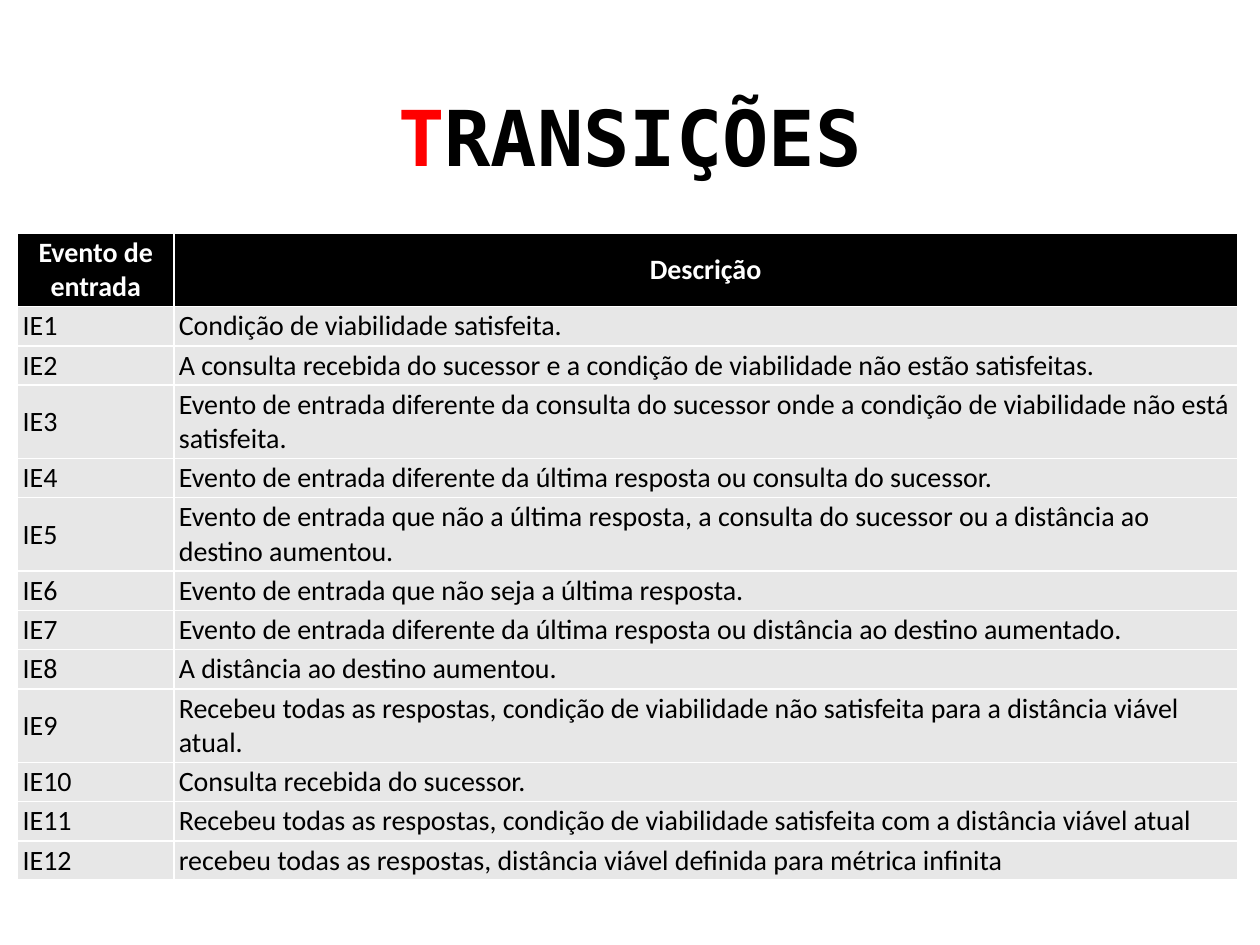
"""Build the slide that lists the transition input events in a table."""
from pptx import Presentation
from pptx.dml.color import RGBColor
from pptx.enum.text import MSO_ANCHOR, PP_ALIGN
from pptx.util import Inches, Pt

BLACK = RGBColor(0x00, 0x00, 0x00)
WHITE = RGBColor(0xFF, 0xFF, 0xFF)
RED = RGBColor(0xFF, 0x00, 0x00)
GREY = RGBColor(0xE7, 0xE7, 0xE7)

TITLE_RUNS = [("T", RED), ("RANSIÇÕES", BLACK)]
HEADER = ("Evento de entrada", "Descrição")
DESCRIPTIONS = [
    "Condição de viabilidade satisfeita.",
    "A consulta recebida do sucessor e a condição de viabilidade não estão satisfeitas.",
    "Evento de entrada diferente da consulta do sucessor onde a condição de viabilidade não está satisfeita.",
    "Evento de entrada diferente da última resposta ou consulta do sucessor.",
    "Evento de entrada que não a última resposta, a consulta do sucessor ou a distância ao destino aumentou.",
    "Evento de entrada que não seja a última resposta.",
    "Evento de entrada diferente da última resposta ou distância ao destino aumentado.",
    "A distância ao destino aumentou.",
    "Recebeu todas as respostas, condição de viabilidade não satisfeita para a distância viável atual.",
    "Consulta recebida do sucessor.",
    "Recebeu todas as respostas, condição de viabilidade satisfeita com a distância viável atual",
    "recebeu todas as respostas, distância viável definida para métrica infinita",
]
COLUMN_WIDTHS = (1.24, 8.44)
SINGLE_ROW, DOUBLE_ROW = 0.3, 0.55
CHARACTERS_PER_LINE = 92


def add_title(slide):
    title = slide.shapes.title
    title.left, title.top = Inches(0.69), Inches(0.4)
    title.width, title.height = Inches(8.62), Inches(1.45)
    title.text_frame.vertical_anchor = MSO_ANCHOR.MIDDLE
    paragraph = title.text_frame.paragraphs[0]
    paragraph.alignment = PP_ALIGN.CENTER
    paragraph.line_spacing = 0.9
    for text, color in TITLE_RUNS:
        run = paragraph.add_run()
        run.text = text
        run.font.name = "DejaVu Sans Mono"
        run.font.size = Pt(44)
        run.font.bold = True
        run.font.color.rgb = color


def fill_cell(cell, text, is_header):
    cell.text = text
    cell.vertical_anchor = MSO_ANCHOR.MIDDLE
    cell.margin_left = cell.margin_right = Inches(0.04)
    cell.margin_top = cell.margin_bottom = Inches(0.02)
    cell.fill.solid()
    cell.fill.fore_color.rgb = BLACK if is_header else GREY
    paragraph = cell.text_frame.paragraphs[0]
    paragraph.alignment = PP_ALIGN.CENTER if is_header else PP_ALIGN.LEFT
    paragraph.font.name = "Calibri"
    paragraph.font.size = Pt(16)
    paragraph.font.bold = is_header
    paragraph.font.color.rgb = WHITE if is_header else BLACK


def add_event_table(slide):
    events = [(f"IE{number}", text) for number, text in enumerate(DESCRIPTIONS, 1)]
    rows = [HEADER] + events
    heights = [DOUBLE_ROW] + [
        DOUBLE_ROW if len(text) > CHARACTERS_PER_LINE else SINGLE_ROW
        for text in DESCRIPTIONS
    ]
    table = slide.shapes.add_table(
        len(rows), len(HEADER), Inches(0.14), Inches(1.85),
        Inches(sum(COLUMN_WIDTHS)), Inches(sum(heights)),
    ).table
    for column, width in zip(table.columns, COLUMN_WIDTHS):
        column.width = Inches(width)
    for index, (texts, height) in enumerate(zip(rows, heights)):
        table.rows[index].height = Inches(height)
        for cell, text in zip(table.rows[index].cells, texts):
            fill_cell(cell, text, index == 0)


def main():
    presentation = Presentation()
    presentation.slide_width, presentation.slide_height = Inches(10), Inches(7.5)
    slide = presentation.slides.add_slide(presentation.slide_layouts[5])
    add_title(slide)
    add_event_table(slide)
    presentation.save("out.pptx")


if __name__ == "__main__":
    main()
